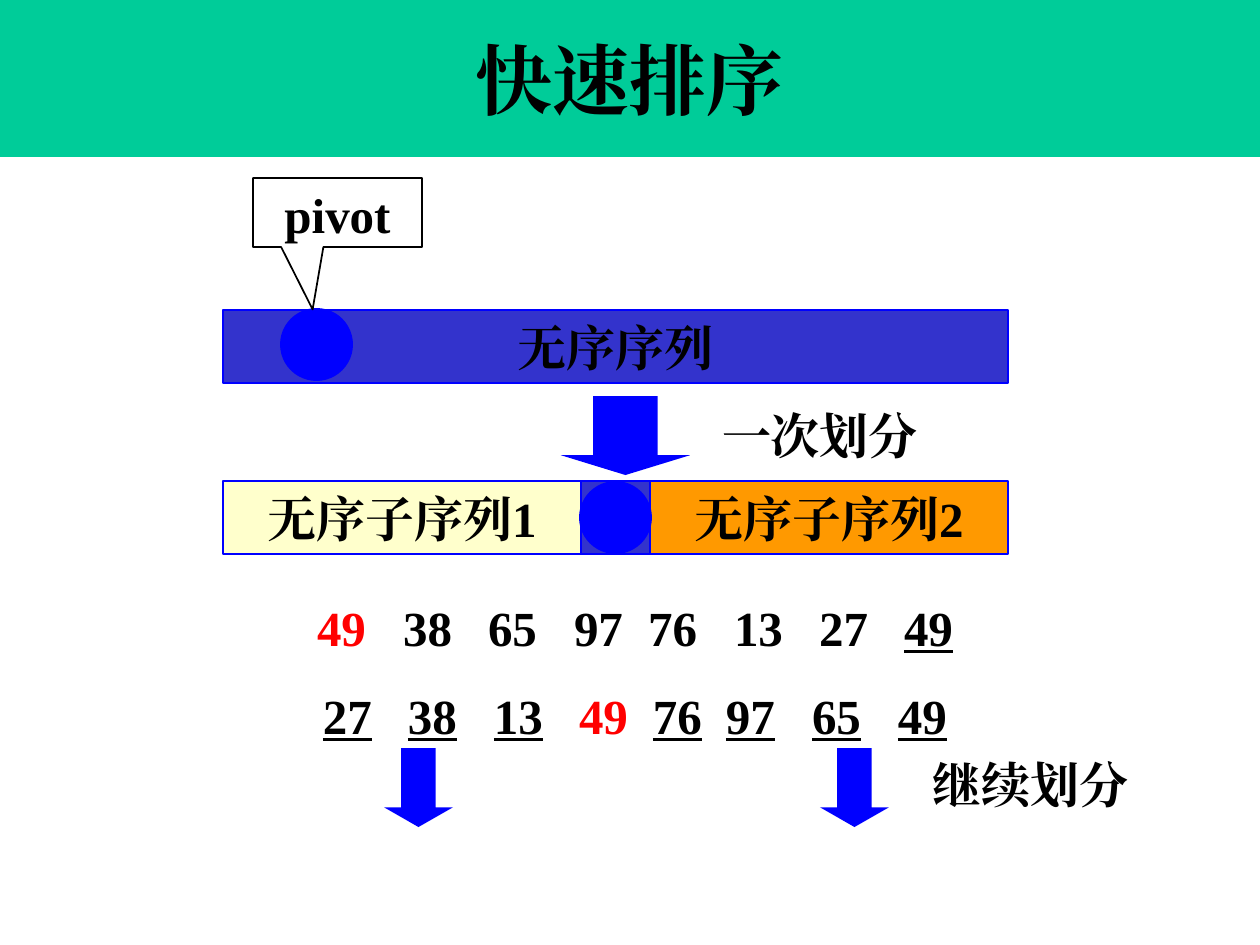
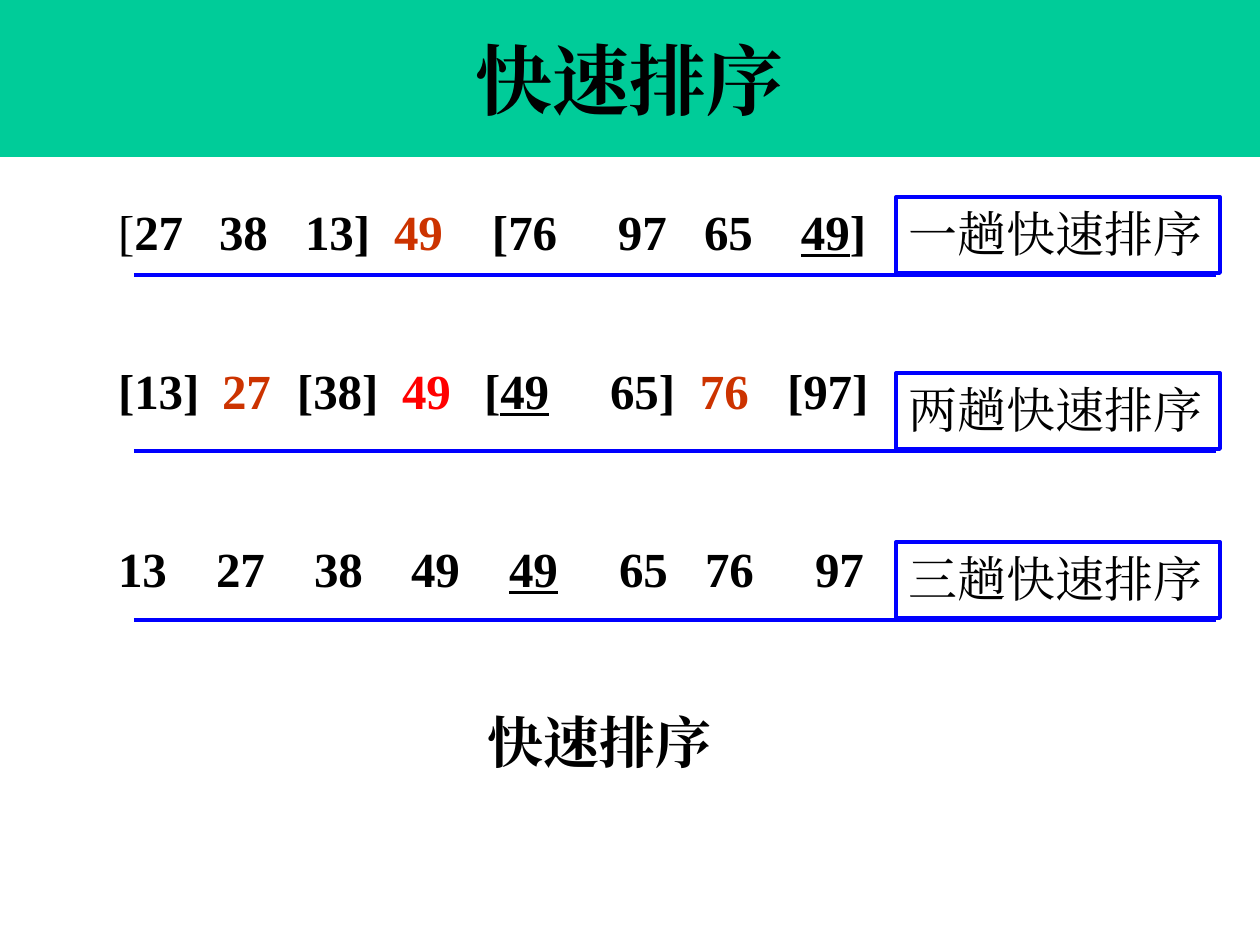
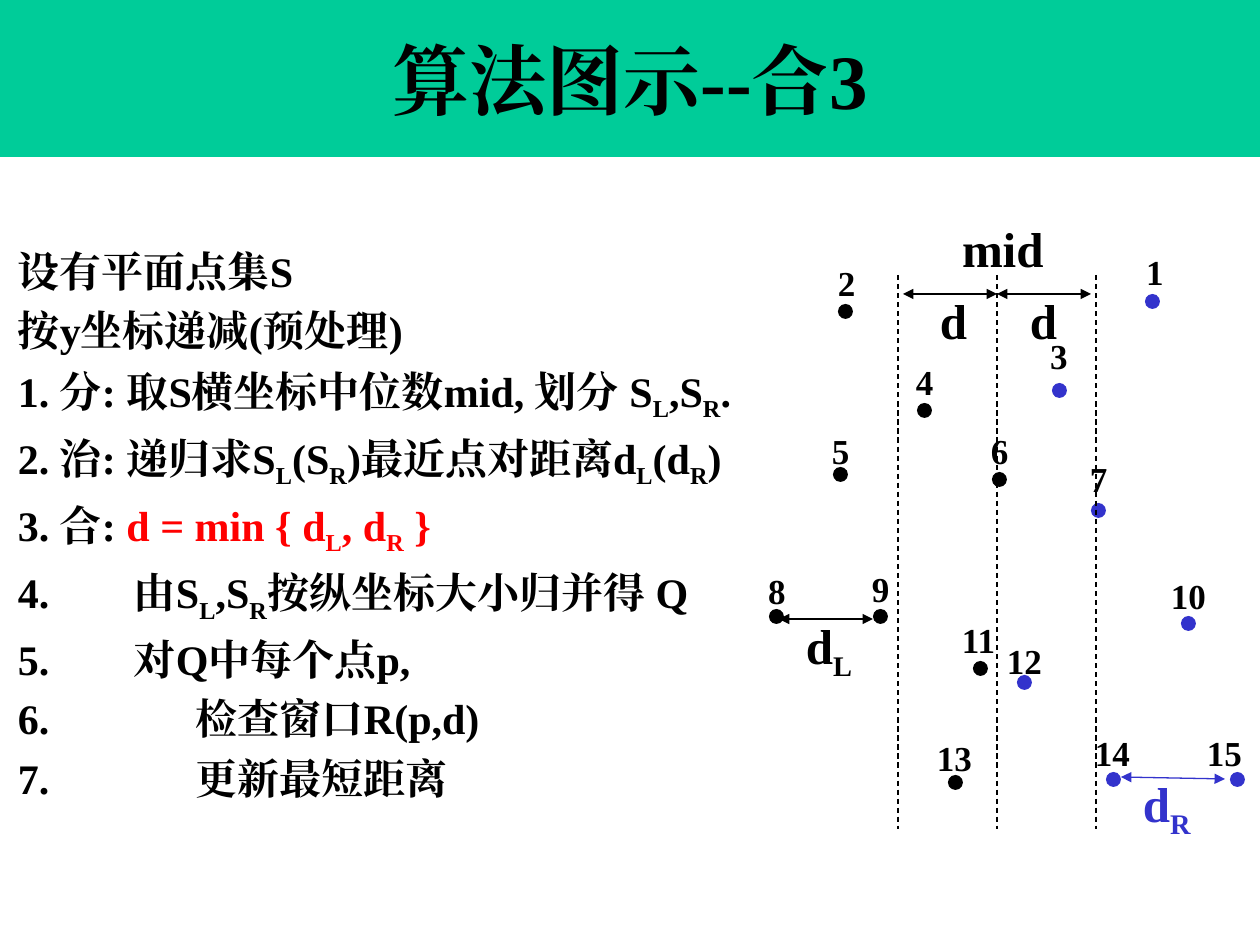
from lxml.etree import SubElement
from pptx import Presentation
from pptx.dml.color import RGBColor as RGB
from pptx.enum.dml import MSO_LINE as Dash
from pptx.enum.shapes import MSO_CONNECTOR as Link, MSO_SHAPE as Kind
from pptx.enum.text import MSO_ANCHOR as Anchor, MSO_AUTO_SIZE as Auto, PP_ALIGN as Align
from pptx.oxml.ns import qn
from pptx.util import Pt

SCALE = 914400 / 126
FONT = "Times New Roman"
BLACK = RGB(0, 0, 0)
GREEN = RGB(0x00, 0xCC, 0x99)
BLUE = RGB(0x00, 0x00, 0xFF)
NAVY = RGB(0x33, 0x33, 0xCC)
CREAM = RGB(0xFF, 0xFF, 0xCC)
ORANGE = RGB(0xFF, 0x99, 0x00)
RED = RGB(0xFF, 0x00, 0x00)
RUST = RGB(0xCC, 0x33, 0x00)
PAD = 13
ROW = 72
UNDER = {"under": True}
HOT = {"color": RED}
WARM = {"color": RUST}


def px(n):
    return round(n * SCALE)


def style(run, size=28, color=BLACK, bold=True, under=False, sub=False):
    font = run.font
    font.size, font.bold, font.name = Pt(size), bold, FONT
    font.color.rgb = color
    if under:
        font.underline = True
    props = run._r.get_or_add_rPr()
    if sub:
        props.set("baseline", "-25000")
    SubElement(props, qn("a:ea")).set("typeface", FONT)


def add_run(para, text, **look):
    run = para.add_run()
    run.text = text
    style(run, **look)


def write(frame, paras, align=Align.LEFT, anchor=Anchor.TOP, wrap=True,
          left=PAD, right=PAD, tabs=(), lead=None, gap=0, **look):
    frame.auto_size = Auto.NONE
    frame.word_wrap = wrap
    frame.vertical_anchor = anchor
    frame.margin_left, frame.margin_right = px(left), px(right)
    if isinstance(paras, str):
        paras = [[paras]]
    for i, runs in enumerate(paras):
        para = frame.add_paragraph() if i else frame.paragraphs[0]
        para.alignment = align
        if lead:
            para.line_spacing = lead
        if gap:
            para.space_after = Pt(gap)
            if i:
                para.space_before = Pt(gap)
        if tabs:
            stops = SubElement(para._p.get_or_add_pPr(), qn("a:tabLst"))
            for stop in tabs:
                SubElement(stops, qn("a:tab"), pos=str(px(stop)), algn="l")
        for item in runs:
            text, extra = (item, {}) if isinstance(item, str) else item
            first, *rest = text.split("_")
            add_run(para, first, **{**look, **extra})
            for part in rest:
                add_run(para, part[0], **{**look, **extra, "sub": True})
                if part[1:]:
                    add_run(para, part[1:], **{**look, **extra})


def label(slide, box, paras, **look):
    area = slide.shapes.add_textbox(*map(px, box))
    write(area.text_frame, paras, **look)


def shape(slide, kind, box, fill=None, line=None, width=1, adjust=()):
    part = slide.shapes.add_shape(kind, *map(px, box))
    part.shadow.inherit = False
    if fill is None:
        part.fill.background()
    else:
        part.fill.solid()
        part.fill.fore_color.rgb = fill
    if line is None:
        part.line.fill.background()
    else:
        part.line.color.rgb = line
        part.line.width = Pt(width)
    for i, value in enumerate(adjust):
        part.adjustments[i] = value
    return part


def stroke(slide, ends, color=BLACK, width=0.75, dash=False, heads=False):
    link = slide.shapes.add_connector(Link.STRAIGHT, *map(px, ends))
    link.line.color.rgb = color
    link.line.width = Pt(width)
    if dash:
        link.line.dash_style = Dash.DASH
    if heads:
        for tag in ("a:headEnd", "a:tailEnd"):
            SubElement(link.line._get_or_add_ln(), qn(tag), type="triangle")
    SubElement(link._element.spPr, qn("a:effectLst"))


def start(deck, text):
    slide = deck.slides.add_slide(deck.slide_layouts[5])
    title = slide.shapes.title
    title.left, title.top, title.width, title.height = map(px, (0, 0, 1260, 157))
    title.fill.solid()
    title.fill.fore_color.rgb = GREEN
    write(title.text_frame, text, align=Align.CENTER, anchor=Anchor.MIDDLE, size=44)
    return slide


def row(slide, box, spots, runs):
    left = spots[0] - box[0]
    tabs = [spot - spots[0] for spot in spots[1:]]
    label(slide, box, [runs], left=left, right=0, tabs=tabs)


def bar(slide, box, fill, text=None):
    part = shape(slide, Kind.RECTANGLE, box, fill, BLUE)
    if text:
        write(part.text_frame, text, align=Align.CENTER, anchor=Anchor.MIDDLE, wrap=False)


def ball(slide, x, y):
    shape(slide, Kind.OVAL, (x, y, 69, 69), BLUE, BLUE, 2.25)


def split(slide, box):
    x, y, wide, high = box
    hole = 69
    half = (wide - hole) // 2
    low = y + 171
    bar(slide, box, NAVY, "无序序列")
    bar(slide, (x, low, half, high), CREAM, "无序子序列1")
    bar(slide, (x + half + hole, low, half, high), ORANGE, "无序子序列2")
    ball(slide, x + 59, y)
    bar(slide, (x + half, low, hole, high), NAVY)
    ball(slide, x + half, low + 2)
    shape(slide, Kind.DOWN_ARROW, (x + 338, y + 86, 129, 79), BLUE, adjust=(0.5, 0.25))
    label(slide, (x + 486, y + 89, 258, ROW), "一次划分")
    note = shape(slide, Kind.RECTANGULAR_CALLOUT, (x + 30, y - 132, 169, 69),
                 line=BLACK, adjust=(-0.147, 1.405))
    write(note.text_frame, "pivot", align=Align.CENTER)


def again(slide, x, y):
    for step in (0, 436):
        shape(slide, Kind.DOWN_ARROW, (x + step, y, 69, 79), BLUE, adjust=(0.5, 0.286))
    label(slide, (x + 536, y, 258, ROW), "继续划分")


def divide(deck):
    slide = start(deck, "快速排序")
    split(slide, (223, 310, 785, 73))
    again(slide, 384, 748)
    row(slide, (256, 591, 787, ROW), (317, 403, 488, 574, 648, 734, 819, 904),
        [("49", HOT), "\t38\t65\t97\t76\t13\t27\t", ("49", UNDER)])
    row(slide, (89, 679, 1101, ROW), (323, 408, 494, 579, 653, 726, 812, 898),
        [("27\t38\t13\t", UNDER), ("49", HOT), "\t", ("76\t97\t65\t49", UNDER)])


def stage(slide, x, y, text):
    box = shape(slide, Kind.RECTANGLE, (x, y, 324, 76), line=BLUE, width=2.25)
    write(box.text_frame, text, wrap=False, bold=False)
    stroke(slide, (x - 762, y + 78, x + 320, y + 78), BLUE, 2.25)


def passes(deck):
    slide = start(deck, "快速排序")
    row(slide, (105, 195, 877, ROW), (118, 219, 305, 394, 492, 618, 704, 801),
        [("[", {"bold": False}), "27\t38\t13]\t", ("49", WARM),
         "\t[76\t97\t65\t", ("49", UNDER), "]"])
    label(slide, (323, 701, 553, 79), "快速排序", align=Align.CENTER, size=32)
    row(slide, (105, 354, 397, ROW), (118, 222, 297, 402),
        ["[13]\t", ("27", WARM), "\t[38]\t", ("49", HOT)])
    row(slide, (471, 354, 410, ROW), (484, 610, 700, 787),
        ["[", ("49", UNDER), "\t65]\t", ("76", WARM), "\t[97]"])
    row(slide, (106, 532, 772, ROW), (118, 216, 314, 411, 509, 619, 705, 815),
        ["13\t27\t38\t49\t", ("49", UNDER), "\t65\t76\t97"])
    for y, text in ((197, "一趟快速排序"), (373, "两趟快速排序"), (542, "三趟快速排序")):
        stage(slide, 896, y, text)


STEPS = [
    ["设有平面点集S"],
    ["按y坐标递减(预处理)"],
    ["1. 分: 取S横坐标中位数mid, 划分 S_L,S_R."],
    ["2. 治: 递归求S_L(S_R)最近点对距离d_L(d_R)"],
    ["3. 合: ", ("d = min { d_L, d_R }", HOT)],
    ["4.\t由S_L,S_R按纵坐标大小归并得 Q"],
    ["5.\t对Q中每个点p,"],
    ["6.\t\t检查窗口R(p,d)"],
    ["7.\t\t更新最短距离"],
]

DOTS = [
    (390, 82, 378, 32), (83, 92, 70, 43), (297, 171, 282, 116),
    (162, 191, 148, 142), (78, 255, 64, 211), (237, 260, 223, 211),
    (336, 291, 322, 239), (14, 397, 0, 351), (118, 397, 104, 349),
    (426, 404, 403, 356), (218, 449, 194, 400), (262, 463, 239, 421),
    (193, 563, 169, 518), (351, 560, 327, 513), (475, 560, 439, 513),
]


def plot(slide, x, y):
    mid, band = 242, 99
    for across, down, _, _ in DOTS:
        fill = NAVY if across > mid else BLACK
        shape(slide, Kind.OVAL, (x + across, y + down, 15, 15), fill)
    for num, (_, _, across, down) in enumerate(DOTS, 1):
        wide = 43 if num < 10 else 60
        label(slide, (x + across, y + down, wide, 55), str(num), wrap=False, size=20)
    for step in (-band, 0, band):
        at = x + mid + step
        stroke(slide, (at, y + 63, at, y + 617), dash=True)
    for x1, y1, x2, y2, color in ((24, 407, 118, 407, BLACK), (148, 82, mid, 82, BLACK),
                                  (mid, 82, 336, 82, BLACK), (366, 565, 470, 567, NAVY)):
        stroke(slide, (x + x1, y + y1, x + x2, y + y2), color, heads=True)
    for across, down, wide, text, color in (
            (194, 0, 108, "mid", BLACK), (38, 397, 86, "d_L", BLACK),
            (375, 555, 89, "d_R", NAVY), (172, 72, 66, "d", BLACK),
            (262, 72, 66, "d", BLACK)):
        label(slide, (x + across, y + down, wide, ROW), text, wrap=False, color=color)


def merge(deck):
    slide = start(deck, "算法图示--合3")
    label(slide, (5, 234, 759, 557), STEPS, size=24, lead=1.1, gap=1.2, tabs=(116, 178))
    plot(slide, 755, 212)


def main():
    deck = Presentation()
    deck.slide_width, deck.slide_height = px(1260), px(945)
    divide(deck)
    passes(deck)
    merge(deck)
    deck.save("out.pptx")


if __name__ == "__main__":
    main()
